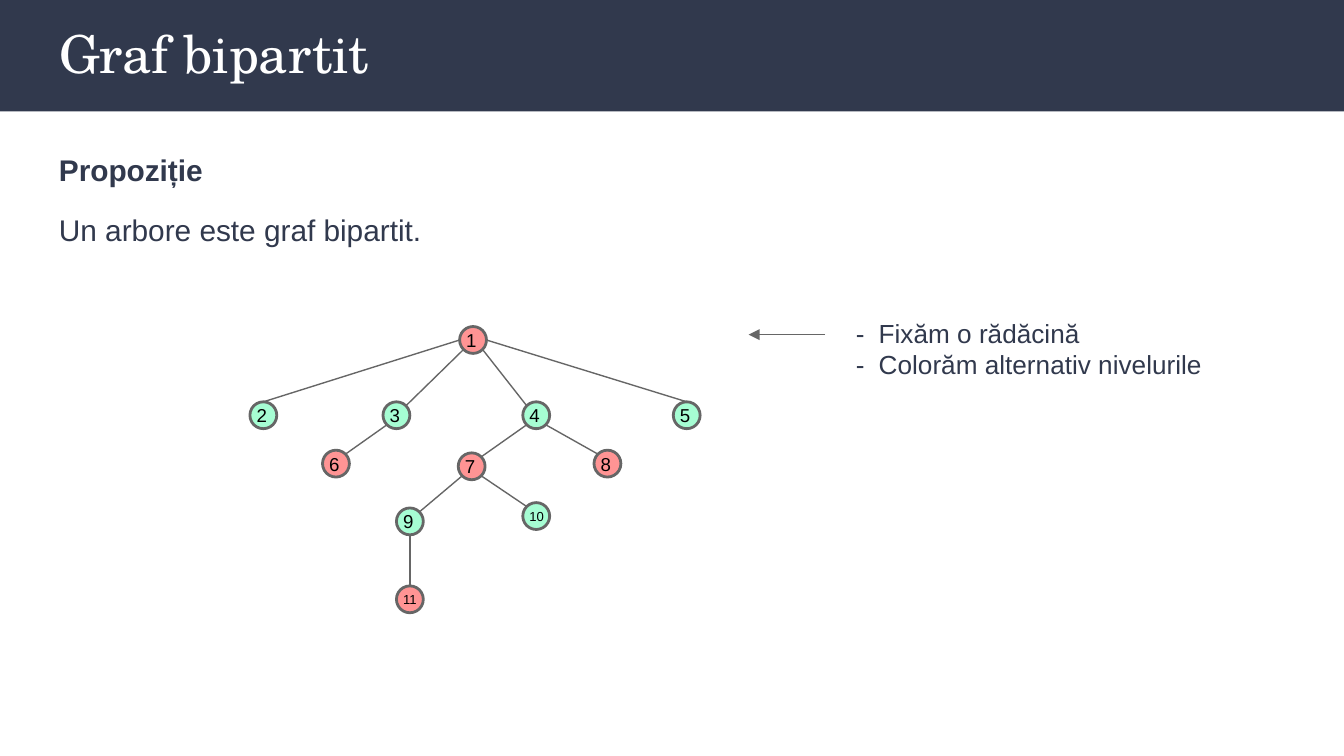
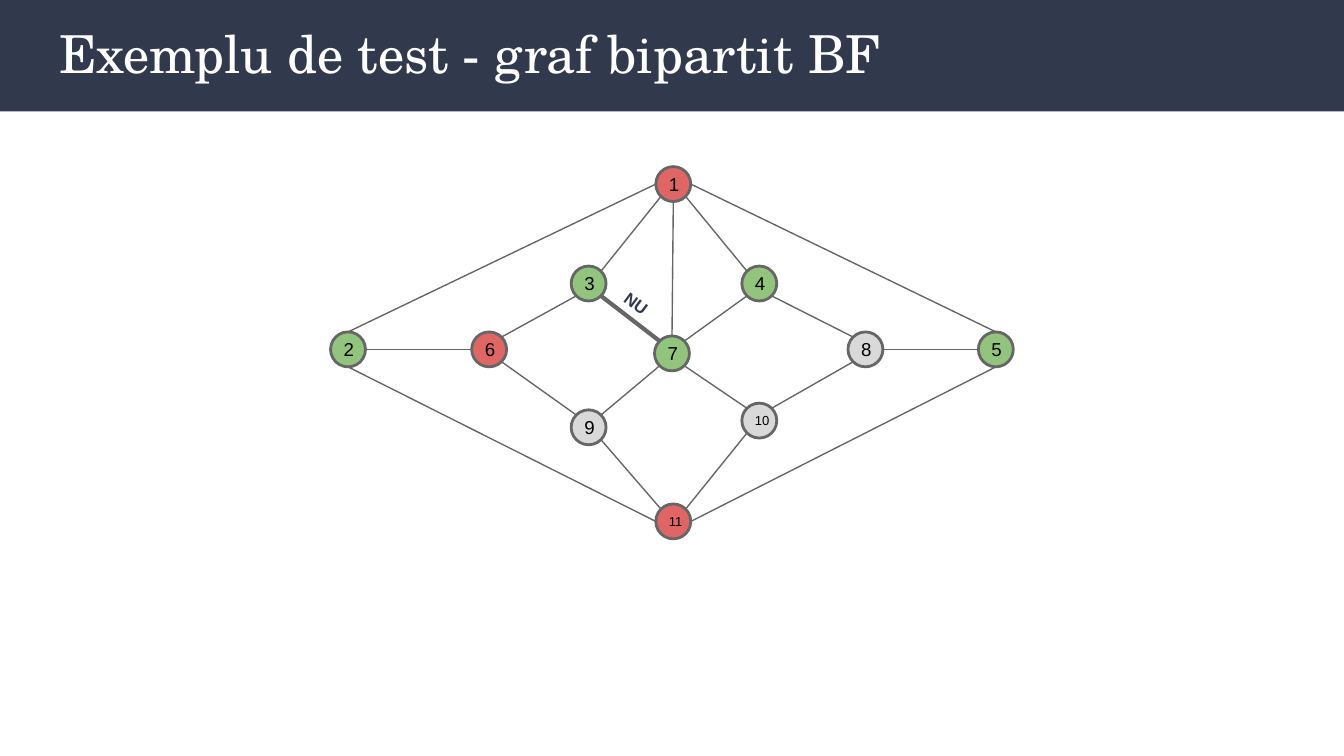
from dataclasses import dataclass

from lxml import etree
from pptx import Presentation
from pptx import util as u
from pptx.dml import color
from pptx.enum import shapes, text
from pptx.oxml import ns


@dataclass(frozen=True)
class Theme:
    navy: str = "31394D"
    white: str = "FFFFFF"
    black: str = "000000"
    outline: str = "666666"
    pink: str = "FF9494"
    mint: str = "A6FDD3"
    red: str = "E06666"
    green: str = "93C47D"
    grey: str = "D9D9D9"
    title_font: str = "TeX Gyre Schola"
    body_font: str = "Arial"
    title_size: float = 28
    body_size: float = 16
    hint_size: float = 14
    node_size: float = 10
    two_digit_size: float = 7
    label_size: float = 9
    node_line: float = 1.5
    edge_line: float = 0.75
    conflict_line: float = 2.25


THEME = Theme()
SLIDE_WIDTH = u.Inches(10)
SLIDE_HEIGHT = SLIDE_WIDTH * 9 // 16


@dataclass(frozen=True)
class Node:
    number: int
    left: float
    top: float
    fill: str


@dataclass(frozen=True)
class Edge:
    start: int
    start_side: str
    end: int
    end_side: str
    width: float = THEME.edge_line


@dataclass(frozen=True)
class Graph:
    diameter: float
    inset: float
    nodes: list[Node]
    edges: list[Edge]


# Connection sites of an ellipse, in their index order, as directions from its centre
DIAGONAL = 0.5 ** 0.5
SITES = {
    "N": (0, -1), "NW": (-DIAGONAL, -DIAGONAL), "W": (-1, 0), "SW": (-DIAGONAL, DIAGONAL),
    "S": (0, 1), "SE": (DIAGONAL, DIAGONAL), "E": (1, 0), "NE": (DIAGONAL, -DIAGONAL),
}

TREE = Graph(
    diameter=0.2,
    inset=0.02,
    nodes=[
        Node(1, 3.42, 2.43, THEME.pink),
        Node(2, 1.86, 2.99, THEME.mint),
        Node(3, 2.85, 2.99, THEME.mint),
        Node(4, 3.89, 2.99, THEME.mint),
        Node(5, 5.01, 2.99, THEME.mint),
        Node(6, 2.4, 3.35, THEME.pink),
        Node(7, 3.41, 3.37, THEME.pink),
        Node(8, 4.42, 3.35, THEME.pink),
        Node(9, 2.95, 3.78, THEME.mint),
        Node(10, 3.89, 3.74, THEME.mint),
        Node(11, 2.95, 4.36, THEME.pink),
    ],
    edges=[
        Edge(1, "W", 2, "N"), Edge(1, "E", 5, "N"),
        Edge(1, "SW", 3, "NE"), Edge(1, "SE", 4, "NW"),
        Edge(7, "NE", 4, "SW"), Edge(6, "NE", 3, "SW"),
        Edge(9, "NE", 7, "SW"), Edge(4, "SE", 8, "NW"),
        Edge(7, "SE", 10, "NW"), Edge(9, "S", 11, "N"),
    ],
)

BFS_TEST = Graph(
    diameter=0.26,
    inset=0.06,
    nodes=[
        Node(1, 4.88, 1.24, THEME.red),
        Node(2, 2.46, 2.47, THEME.green),
        Node(3, 4.25, 1.98, THEME.green),
        Node(4, 5.52, 1.98, THEME.green),
        Node(5, 7.28, 2.47, THEME.green),
        Node(6, 3.51, 2.47, THEME.red),
        Node(7, 4.87, 2.5, THEME.green),
        Node(8, 6.31, 2.47, THEME.grey),
        Node(9, 4.25, 3.05, THEME.grey),
        Node(10, 5.52, 3, THEME.grey),
        Node(11, 4.88, 3.75, THEME.red),
    ],
    edges=[
        Edge(1, "W", 2, "N"), Edge(1, "E", 5, "N"),
        Edge(2, "S", 11, "W"), Edge(11, "E", 5, "S"),
        Edge(1, "SW", 3, "NE"), Edge(1, "SE", 4, "NW"),
        Edge(2, "E", 6, "W"), Edge(5, "W", 8, "E"),
        Edge(3, "SE", 7, "NW", THEME.conflict_line), Edge(7, "NE", 4, "SW"),
        Edge(6, "NE", 3, "SW"), Edge(6, "SE", 9, "NW"),
        Edge(9, "NE", 7, "SW"), Edge(4, "SE", 8, "NW"),
        Edge(10, "NE", 8, "SW"), Edge(7, "SE", 10, "NW"),
        Edge(9, "SE", 11, "NW"), Edge(10, "SW", 11, "NE"),
        Edge(1, "S", 7, "N"),
    ],
)


def rgb(code: str) -> color.RGBColor:
    return color.RGBColor.from_string(code)


def add_run(paragraph, words: str, size: float, ink: str = THEME.navy,
            font: str = THEME.body_font, bold: bool = False) -> None:
    run = paragraph.add_run()
    run.text = words
    run.font.size = u.Pt(size)
    run.font.name = font
    run.font.bold = bold
    run.font.color.rgb = rgb(ink)


def set_insets(frame, left: float, others: float) -> None:
    frame.margin_left = u.Inches(left)
    frame.margin_top = frame.margin_right = frame.margin_bottom = u.Inches(others)


def add_text_frame(slide, left: float, top: float, width: float, height: float,
                   rotation: float = 0):
    box = slide.shapes.add_textbox(*map(u.Inches, (left, top, width, height)))
    box.rotation = rotation
    set_insets(box.text_frame, 0.1, 0.1)
    box.text_frame.word_wrap = True
    return box.text_frame


def add_line(slide, start: tuple[float, float], end: tuple[float, float], width: float):
    line = slide.shapes.add_connector(
        shapes.MSO_CONNECTOR.STRAIGHT, *map(u.Inches, (*start, *end)))
    line.line.color.rgb = rgb(THEME.outline)
    line.line.width = u.Pt(width)
    etree.SubElement(line.element.spPr, ns.qn("a:effectLst"))
    return line


def add_band(slide) -> None:
    """Draw the header band and place it behind everything on the slide's layout."""
    band = slide.shapes.add_shape(
        shapes.MSO_SHAPE.RECTANGLE, 0, 0, SLIDE_WIDTH, u.Inches(0.83))
    band.shadow.inherit = False
    band.fill.solid()
    band.fill.fore_color.rgb = rgb(THEME.navy)
    band.line.fill.background()
    slide.slide_layout.shapes.element.insert(2, band.element)


def add_titled_slide(deck, heading: str):
    slide = deck.slides.add_slide(deck.slide_layouts[5])
    title = slide.shapes.title
    title.left, title.top, title.width, title.height = map(
        u.Inches, (0.34, 0.06, 9.32, 0.68))
    frame = title.text_frame
    set_insets(frame, 0.1, 0.1)
    frame.auto_size = text.MSO_AUTO_SIZE.NONE
    frame.vertical_anchor = text.MSO_ANCHOR.TOP
    paragraph = frame.paragraphs[0]
    paragraph.alignment = text.PP_ALIGN.LEFT
    add_run(paragraph, heading, THEME.title_size, THEME.white, THEME.title_font)
    return slide


def add_node(slide, node: Node, graph: Graph):
    circle = slide.shapes.add_shape(
        shapes.MSO_SHAPE.OVAL,
        *map(u.Inches, (node.left, node.top, graph.diameter, graph.diameter)))
    circle.shadow.inherit = False
    circle.fill.solid()
    circle.fill.fore_color.rgb = rgb(node.fill)
    circle.line.color.rgb = rgb(THEME.outline)
    circle.line.width = u.Pt(THEME.node_line)
    frame = circle.text_frame
    set_insets(frame, graph.inset, 0)
    frame.vertical_anchor = text.MSO_ANCHOR.MIDDLE
    paragraph = frame.paragraphs[0]
    paragraph.alignment = text.PP_ALIGN.LEFT
    size = THEME.node_size if node.number < 10 else THEME.two_digit_size
    add_run(paragraph, str(node.number), size, THEME.black)
    return circle


def site_point(node: Node, side: str, diameter: float) -> tuple[float, float]:
    dx, dy = SITES[side]
    radius = diameter / 2
    return node.left + radius * (1 + dx), node.top + radius * (1 + dy)


def add_graph(slide, graph: Graph) -> None:
    nodes = {node.number: node for node in graph.nodes}
    circles = {node.number: add_node(slide, node, graph) for node in graph.nodes}
    for edge in graph.edges:
        line = add_line(
            slide,
            site_point(nodes[edge.start], edge.start_side, graph.diameter),
            site_point(nodes[edge.end], edge.end_side, graph.diameter),
            edge.width)
        # Glue both ends to their circles
        links = line.element.find(".//" + ns.qn("p:cNvCxnSpPr"))
        for tag, number, side in (("a:stCxn", edge.start, edge.start_side),
                                  ("a:endCxn", edge.end, edge.end_side)):
            etree.SubElement(links, ns.qn(tag), id=str(circles[number].shape_id),
                             idx=str(list(SITES).index(side)))


def add_dash_item(paragraph, words: str) -> None:
    """Write a dash, then the words at a hanging indent."""
    indent = u.Inches(0.17)
    properties = paragraph._p.get_or_add_pPr()
    properties.set("marL", str(indent))
    properties.set("indent", str(-indent))
    add_run(paragraph, f"-\t{words}", THEME.hint_size)


def build_tree_slide(deck) -> None:
    slide = add_titled_slide(deck, "Graf bipartit")
    add_band(slide)

    # Proposition
    proposition = add_text_frame(slide, 0.34, 0.99, 9.32, 4.11)
    heading, statement = proposition.paragraphs[0], proposition.add_paragraph()
    heading.line_spacing = statement.line_spacing = 1.15
    statement.space_before = statement.space_after = u.Pt(10)
    add_run(heading, "Propoziție", THEME.body_size, bold=True)
    add_run(statement, "Un arbore este graf bipartit.", THEME.body_size)

    add_graph(slide, TREE)

    # Hint with its arrow
    arrow = add_line(slide, (6.14, 2.49), (5.57, 2.49), THEME.edge_line)
    etree.SubElement(arrow.line._get_or_add_ln(), ns.qn("a:tailEnd"), type="triangle")
    hints = add_text_frame(slide, 6.27, 2.26, 3.17, 0.67)
    add_dash_item(hints.paragraphs[0], "Fixăm o rădăcină")
    add_dash_item(hints.add_paragraph(), "Colorăm alternativ nivelurile")


def build_test_slide(deck) -> None:
    slide = add_titled_slide(deck, "Exemplu de test - graf bipartit BF")
    add_graph(slide, BFS_TEST)

    # Label along the conflicting edge
    conflict = add_text_frame(slide, 4.39, 2.1, 0.66, 0.35, rotation=36.5).paragraphs[0]
    conflict.alignment = text.PP_ALIGN.CENTER
    add_run(conflict, "NU", THEME.label_size, bold=True)


def main() -> None:
    deck = Presentation()
    deck.slide_width, deck.slide_height = SLIDE_WIDTH, SLIDE_HEIGHT
    build_tree_slide(deck)
    build_test_slide(deck)
    deck.save("out.pptx")


if __name__ == "__main__":
    main()
